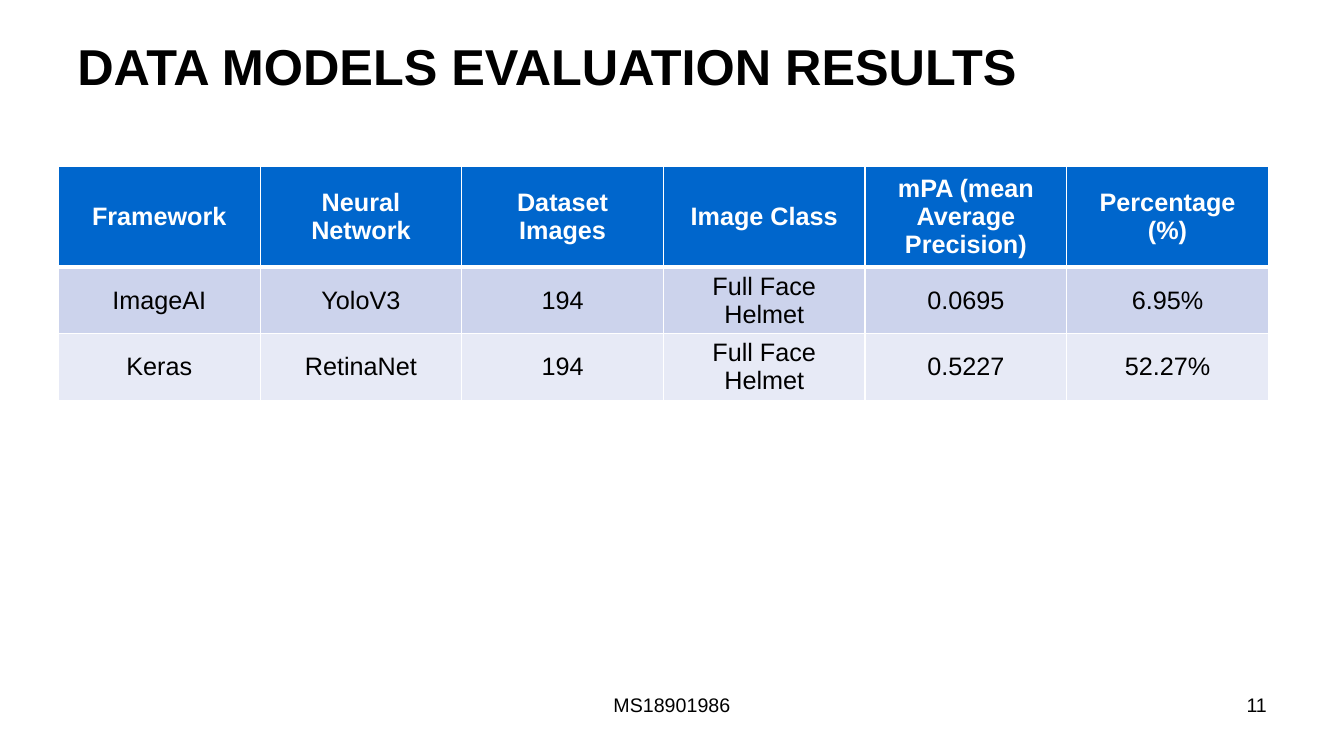
from lxml import etree
from pptx import Presentation
from pptx import util as u
from pptx.dml.color import RGBColor
from pptx.enum import text
from pptx.oxml.ns import qn

WIDTH, HEIGHT = 13.33, 7.5
FONT, BLACK, WHITE, BLUE = "Arial", "000000", "FFFFFF", "0066CC"
BANDS = ["CCD3EC", "E7EAF6"]
ALIGN, ANCHOR = text.PP_ALIGN, text.MSO_ANCHOR

RESULTS = [
    ["Framework", "Neural Network", "Dataset Images", "Image Class",
     "mPA (mean Average Precision)", "Percentage (%)"],
    ["ImageAI", "YoloV3", "194", "Full Face Helmet", "0.0695", "6.95%"],
    ["Keras", "RetinaNet", "194", "Full Face Helmet", "0.5227", "52.27%"],
]


def color(value):
    return RGBColor.from_string(value)


def write(frame, words, size=18, fill=BLACK, bold=False, align=ALIGN.LEFT):
    frame.word_wrap = True
    para = frame.paragraphs[0]
    para.alignment = align
    span = para.add_run()
    span.text = words
    span.font.name, span.font.size, span.font.bold = FONT, u.Pt(size), bold
    span.font.color.rgb = color(fill)


def place(shape, box):
    shape.left, shape.top, shape.width, shape.height = map(u.Inches, box)


def add_border(cell, side, points):
    line = etree.SubElement(cell._tc.get_or_add_tcPr(), qn("a:ln" + side), w=str(u.Pt(points)))
    fill = etree.SubElement(line, qn("a:solidFill"))
    etree.SubElement(fill, qn("a:srgbClr"), val=WHITE)


def add_title(page, box, words):
    title = page.shapes.title
    place(title, box)
    title.text_frame.auto_size = text.MSO_AUTO_SIZE.NONE
    title.text_frame.vertical_anchor = ANCHOR.MIDDLE
    write(title.text_frame, words, size=36, bold=True)


def add_results(page, box, rows, row_heights):
    frame = page.shapes.add_table(len(rows), len(rows[0]), *map(u.Inches, box))
    table = frame.table
    for column in table.columns:
        column.width = u.Inches(box[2] / len(rows[0]))
    for r, (values, height) in enumerate(zip(rows, row_heights)):
        table.rows[r].height = u.Inches(height)
        header = r == 0
        for c, value in enumerate(values):
            cell = table.cell(r, c)
            # The rule under the header is thicker than the others
            thickness = {"L": 1, "R": 1, "T": 3 if r == 1 else 1, "B": 3 if header else 1}
            for side, points in thickness.items():
                add_border(cell, side, points)
            cell.fill.solid()
            cell.fill.fore_color.rgb = color(BLUE if header else BANDS[(r - 1) % 2])
            cell.vertical_anchor = ANCHOR.MIDDLE
            write(cell.text_frame, value, fill=WHITE if header else BLACK,
                  bold=header, align=ALIGN.CENTER)


def add_footer(page, box, label, number):
    left, top, width, height = box
    parts = [(number, 0.74, 0.26, ALIGN.RIGHT), (label, 0.324, 0.352, ALIGN.CENTER)]
    for words, start, share, align in parts:
        note = page.shapes.add_textbox(0, 0, 0, 0)
        place(note, (left + width * start, top, width * share, height))
        write(note.text_frame, words, size=14, align=align)


deck = Presentation()
deck.slide_width, deck.slide_height = u.Inches(WIDTH), u.Inches(HEIGHT)
page = deck.slides.add_slide(deck.slide_layouts[5])
margin = WIDTH * 0.05
content = WIDTH * 0.9

# Title
add_title(page, (margin, 0.33, content, 0.64), "DATA MODELS EVALUATION RESULTS")
# Evaluation table; body rows grow to fit wrapped text
add_results(page, (0.58, HEIGHT * 0.22, 12, 1.84), RESULTS, [1, 0.42, 0.42])
# Footer label and page number
add_footer(page, (margin, HEIGHT * 0.91, content, 0.52), "MS18901986", "11")

deck.save("out.pptx")
